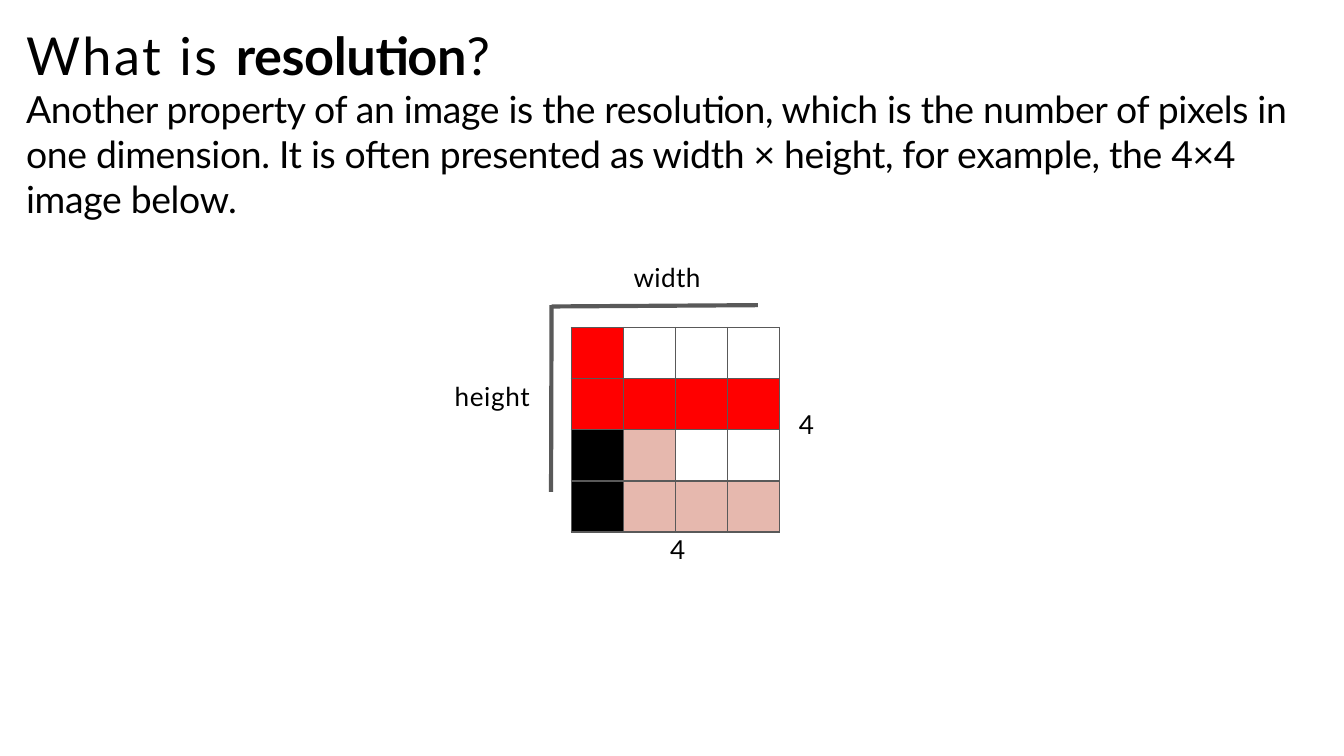
from lxml import etree
from pptx import Presentation
from pptx.dml.color import RGBColor
from pptx.enum import shapes, text
from pptx.oxml import ns
from pptx.util import Pt

COLORS = {"ink": "000000", "grid": "595959", "red": "FF0000", "pink": "E6B8AE"}


def add_text(left, top, width, height, *runs, wrap=True):
    frame = slide.shapes.add_textbox(Pt(left), Pt(top), Pt(width), Pt(height)).text_frame
    frame.word_wrap = wrap
    frame.auto_size = text.MSO_AUTO_SIZE.NONE
    frame.margin_left, frame.margin_top = Pt(1), Pt(1)
    frame.margin_right = frame.margin_bottom = 0
    paragraph = frame.paragraphs[0]
    paragraph.space_before = Pt(1)
    for wording, size, spacing, bold in runs:
        if wording == "\n":
            paragraph.add_line_break()
            continue
        run = paragraph.add_run()
        run.text = wording
        run.font.name = "Lato"
        run.font.size = Pt(size)
        run.font.bold = bold
        run.font.color.rgb = RGBColor.from_string(COLORS["ink"])
        run._r.get_or_add_rPr().set("spc", str(round(spacing * 100)))


def add_border(cell, side):
    line = etree.SubElement(cell._tc.get_or_add_tcPr(), ns.qn(f"a:{side}"), w=str(Pt(0.75)))
    fill = etree.SubElement(line, ns.qn("a:solidFill"))
    etree.SubElement(fill, ns.qn("a:srgbClr"), val=COLORS["grid"])


presentation = Presentation()
presentation.slide_width, presentation.slide_height = Pt(720), Pt(405)
slide = presentation.slides.add_slide(presentation.slide_layouts[6])

add_text(
    13, 11.5, 678.5, 270,
    ("What is ", 28, 1.4, False),
    ("resolution", 28, -0.2, True),
    ("?", 28, -0.2, False),
    ("\n", 28, 0, False),
    ("Another property of an image is the resolution, which is the number of pixels in "
     "one dimension. It is often presented as width × height, for example, the 4×4 "
     "image below.", 20, -0.2, False),
)

pixels = [
    ["red", None, None, None],
    ["red", "red", "red", "red"],
    ["ink", "pink", None, None],
    ["ink", "pink", "pink", "pink"],
]
table = slide.shapes.add_table(4, 4, Pt(306), Pt(175.5), Pt(111.6), Pt(109.6)).table
table.first_row = table.horz_banding = False
for column in table.columns:
    column.width = Pt(27.9)
for row, row_pixels in zip(table.rows, pixels):
    row.height = Pt(27.4)
    for cell, color in zip(row.cells, row_pixels):
        cell.margin_left = cell.margin_right = cell.margin_top = cell.margin_bottom = 0
        for side in ("lnL", "lnR", "lnT", "lnB"):
            add_border(cell, side)
        if color:
            cell.fill.solid()
            cell.fill.fore_color.rgb = RGBColor.from_string(COLORS[color])
        else:
            cell.fill.background()

for end_x, start_y, end_y in [(406, 164.2, 163.5), (295.2, 163.5, 263.5)]:
    bracket = slide.shapes.add_connector(
        shapes.MSO_CONNECTOR.STRAIGHT, Pt(295.5), Pt(start_y), Pt(end_x), Pt(end_y))
    bracket.line.width = Pt(2.25)
    bracket.line.color.rgb = RGBColor.from_string(COLORS["grid"])
    etree.SubElement(bracket._element.spPr, ns.qn("a:effectLst"))

for wording, left, top, width, height, spacing in [
    ("4", 358, 285, 10, 18, -0.3),
    ("4", 427, 218, 10, 18, -0.3),
    ("width", 338.4, 139, 38, 34.5, 0.2),
    ("height", 242.6, 203, 43, 34.5, 0.3),
]:
    add_text(left, top, width, height, (wording, 14, spacing, False), wrap=False)

presentation.save("out.pptx")
